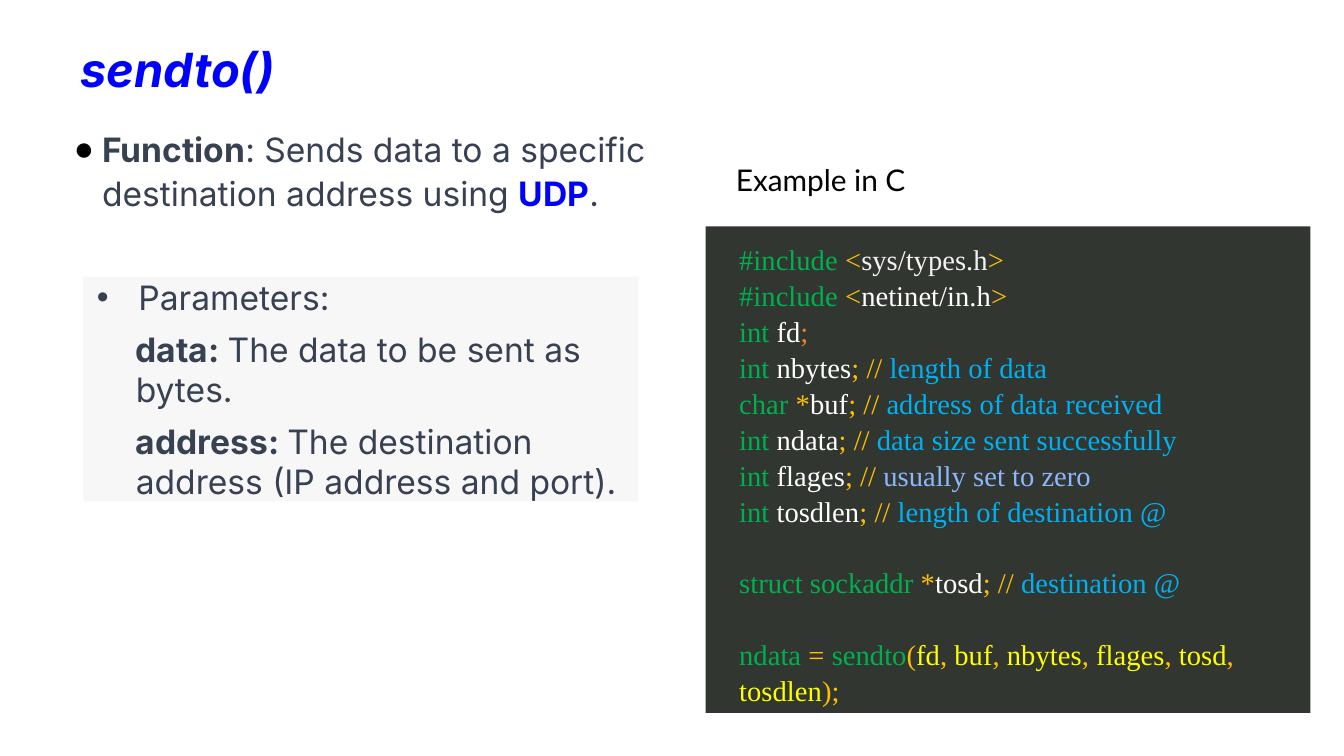
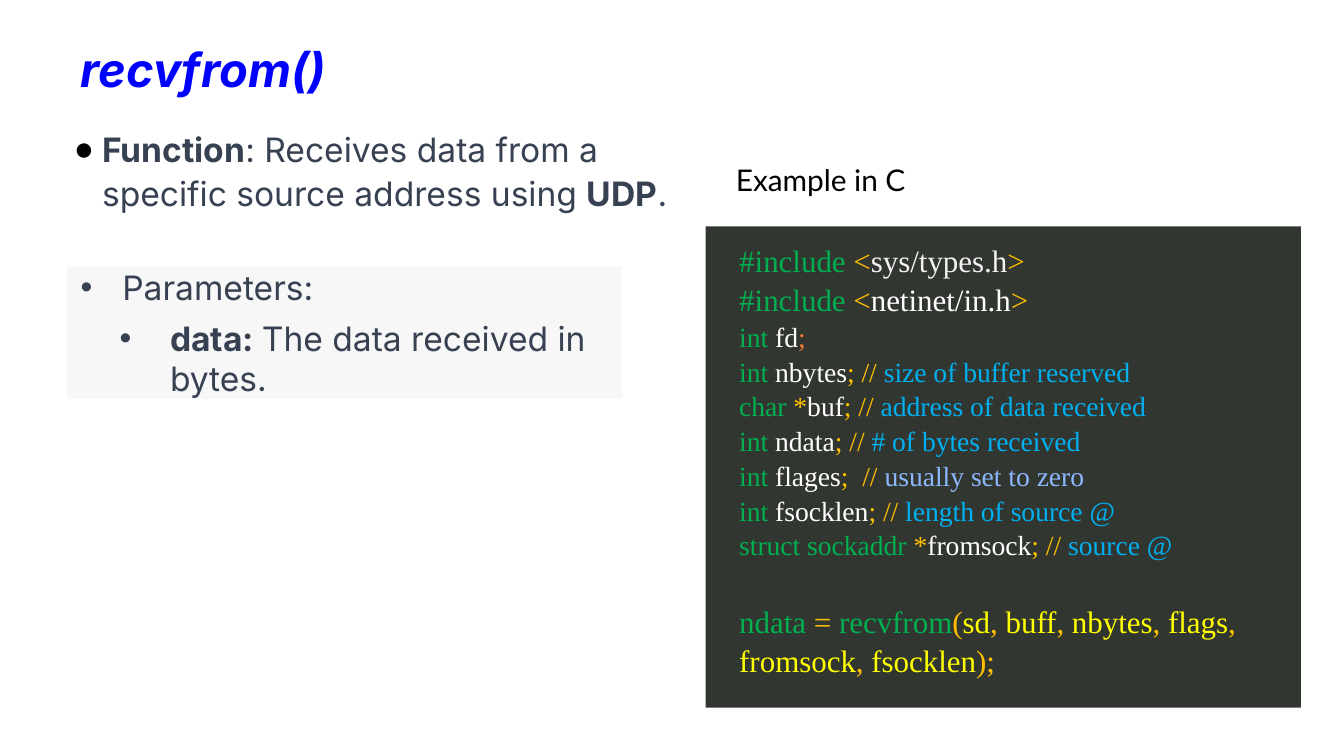
from dataclasses import dataclass

from lxml.etree import SubElement
from pptx import Presentation
from pptx.dml.color import RGBColor as Color
from pptx.enum.text import MSO_ANCHOR as Anchor, MSO_AUTO_SIZE as AutoSize, PP_ALIGN as Align
from pptx.oxml.ns import qn
from pptx.util import Emu, Pt

EMU_PER_PX = 4572


def px(length):
    return Emu(length * EMU_PER_PX)


@dataclass(frozen=True)
class Theme:
    accent: str = "0000FF"
    body: str = "374151"
    black: str = "000000"
    panel: str = "F7F7F8"
    code_panel: str = "323630"
    keyword: str = "00B050"
    symbol: str = "FFC000"
    name: str = "FFFFFF"
    header: str = "F2F2F2"
    end_mark: str = "F37D2A"
    comment: str = "00B0F0"
    pale_comment: str = "8CB7FE"
    argument: str = "FFFF00"
    main_font: str = "Inter"
    label_font: str = "Lato"
    code_font: str = "Times New Roman"
    title_size: float = 25.2
    body_size: float = 18
    label_size: float = 16
    code_line_spacing: float = 1.05
    blank_line: float = 1.26


THEME = Theme()


class Deck:
    def __init__(self, theme):
        self.theme = theme
        self.presentation = Presentation()
        self.presentation.slide_width = px(2000)
        self.presentation.slide_height = px(1125)
        self.slide = None

    def add_slide(self):
        layout = self.presentation.slide_layouts.get_by_name("Comparison")
        self.slide = self.presentation.slides.add_slide(layout)

    def place(self, index, box, anchor=Anchor.TOP, fill=None, inset=20, grow=False):
        shape = self.slide.placeholders[index]
        shape.left, shape.top, shape.width, shape.height = map(px, box)
        if fill:
            shape.fill.solid()
            shape.fill.fore_color.rgb = Color.from_string(fill)
        frame = shape.text_frame
        frame.word_wrap = True
        frame.auto_size = AutoSize.SHAPE_TO_FIT_TEXT if grow else AutoSize.NONE
        frame.vertical_anchor = anchor
        frame.margin_left = frame.margin_right = px(20)
        frame.margin_top = frame.margin_bottom = px(inset)
        return frame

    def paragraph(self, frame, first, margin=0, indent=0, before=0, spacing=1.0,
                  bullet=None, bullet_color=None):
        paragraph = frame.paragraphs[0] if first else frame.add_paragraph()
        paragraph.alignment = Align.LEFT
        paragraph.line_spacing = spacing
        paragraph.space_before = Pt(before)
        paragraph.space_after = Pt(0)
        properties = paragraph._p.get_or_add_pPr()
        properties.set("marL", str(px(margin)))
        properties.set("indent", str(px(indent)))
        if bullet_color:
            color = SubElement(properties, qn("a:buClr"))
            SubElement(color, qn("a:srgbClr")).set("val", bullet_color)
        if bullet:
            SubElement(properties, qn("a:buFont")).set("typeface", "Arial")
            SubElement(properties, qn("a:buChar")).set("char", bullet)
        else:
            SubElement(properties, qn("a:buNone"))
        return paragraph

    def run(self, paragraph, text, size, color, font, bold=False, italic=False):
        run = paragraph.add_run()
        run.text = text
        run.font.size = Pt(size)
        run.font.name = font
        run.font.bold = bold
        run.font.italic = italic
        run.font.color.rgb = Color.from_string(color)

    def body_run(self, paragraph, text, bold=False, color=None):
        theme = self.theme
        self.run(paragraph, text, theme.body_size, color or theme.body, theme.main_font, bold)

    def title(self, text):
        theme = self.theme
        frame = self.place(0, (100, 40, 1800, 126), Anchor.MIDDLE)
        self.run(self.paragraph(frame, True), text, theme.title_size, theme.accent,
                 theme.main_font, True, True)

    def parameters(self, box, items, margin, indent=0, bullet=None):
        frame = self.place(1, box, Anchor.MIDDLE, self.theme.panel, inset=10, grow=True)
        heading = self.paragraph(frame, True, 62, -62, 6, bullet="•")
        self.body_run(heading, "Parameters:")
        for name, meaning in items:
            paragraph = self.paragraph(frame, False, margin, indent, 6, bullet=bullet)
            self.body_run(paragraph, f"{name}: ", True)
            self.body_run(paragraph, meaning)

    def code(self, box, lines):
        theme = self.theme
        frame = self.place(2, box, fill=theme.code_panel)
        for number, (size, gap, tokens) in enumerate(lines):
            paragraph = self.paragraph(frame, number == 0, 30,
                                       before=size * theme.blank_line if gap else 0,
                                       spacing=theme.code_line_spacing)
            for text, color in tokens:
                self.run(paragraph, text, size, color, theme.code_font)

    def function(self, text, protocol_color):
        frame = self.place(3, (50, 166, 1000, 346))
        paragraph = self.paragraph(frame, True, 82, -42, spacing=1.1, bullet="●",
                                   bullet_color=self.theme.black)
        self.body_run(paragraph, "Function", True)
        self.body_run(paragraph, f": {text} using ")
        self.body_run(paragraph, "UDP", True, protocol_color)
        self.body_run(paragraph, ".")

    def example_label(self):
        theme = self.theme
        frame = self.place(4, (1050, 188, 826, 126), Anchor.BOTTOM)
        self.run(self.paragraph(frame, True, 100, -75), "Example in C", theme.label_size,
                 theme.black, theme.label_font)


def include(header, color):
    return [("#include ", THEME.keyword), ("<", THEME.symbol), (header, color),
            (">", THEME.symbol)]


def declare(kind, name, comment, mark="; // ", color=THEME.comment):
    star = [("*", THEME.symbol)] if name.startswith("*") else []
    return [(f"{kind} ", THEME.keyword), *star, (name.lstrip("*"), THEME.name),
            (mark, THEME.symbol), (comment, color)]


def call(function, arguments):
    tokens = [("ndata ", THEME.keyword), ("= ", THEME.symbol), (function, THEME.keyword)]
    for number, argument in enumerate(arguments):
        tokens += [(", " if number else "(", THEME.symbol), (argument, THEME.argument)]
    return tokens + [(");", THEME.symbol)]


INCLUDES = [include("sys/types.h", THEME.header), include("netinet/in.h", THEME.name)]
DESCRIPTOR = [("int ", THEME.keyword), ("fd", THEME.name), (";", THEME.end_mark)]
BUFFER = declare("char", "*buf", "address of data received")


def flags(mark):
    return declare("int", "flages", "usually set to zero", mark, THEME.pale_comment)


def sized(size, lines):
    return [(size, False, tokens) for tokens in lines]


def build_sendto(deck):
    size = 15.3
    declarations = [
        DESCRIPTOR,
        declare("int", "nbytes", "length of data"),
        BUFFER,
        declare("int", "ndata", "data size sent successfully"),
        flags("; // "),
        declare("int", "tosdlen", "length of destination @"),
    ]
    deck.add_slide()
    deck.title("sendto()")
    deck.parameters((124, 402, 826, 354), [
        ("data", "The data to be sent as bytes."),
        ("address", "The destination address (IP address and port)."),
    ], margin=58)
    deck.code((1050, 337, 900, 724), sized(size, INCLUDES + declarations) + [
        (size, True, declare("struct sockaddr", "*tosd", "destination @")),
        (size, True, call("sendto", ["fd", "buf", "nbytes", "flages", "tosd", "tosdlen"])),
    ])
    deck.function("Sends data to a specific destination address", THEME.accent)
    deck.example_label()


def build_recvfrom(deck):
    large, small = 16.6, 14.8
    declarations = [
        DESCRIPTOR,
        declare("int", "nbytes", "size of buffer reserved"),
        BUFFER,
        declare("int", "ndata", "# of bytes received"),
        flags(";  // "),
        declare("int", "fsocklen", "length of source @"),
        declare("struct sockaddr", "*fromsock", "source @"),
    ]
    arguments = ["sd", "buff", "nbytes", "flags", "fromsock", "fsocklen"]
    deck.add_slide()
    deck.title("recvfrom()")
    deck.parameters((100, 387, 826, 216), [("data", "The data received in bytes.")],
                    margin=133, indent=-75, bullet="•")
    deck.code((1050, 337, 886, 716), sized(large, INCLUDES) + sized(small, declarations) + [
        (large, True, call("recvfrom", arguments)),
    ])
    deck.function("Receives data from a specific source address", THEME.body)
    deck.example_label()


def main():
    deck = Deck(THEME)
    build_sendto(deck)
    build_recvfrom(deck)
    deck.presentation.save("out.pptx")


if __name__ == "__main__":
    main()
